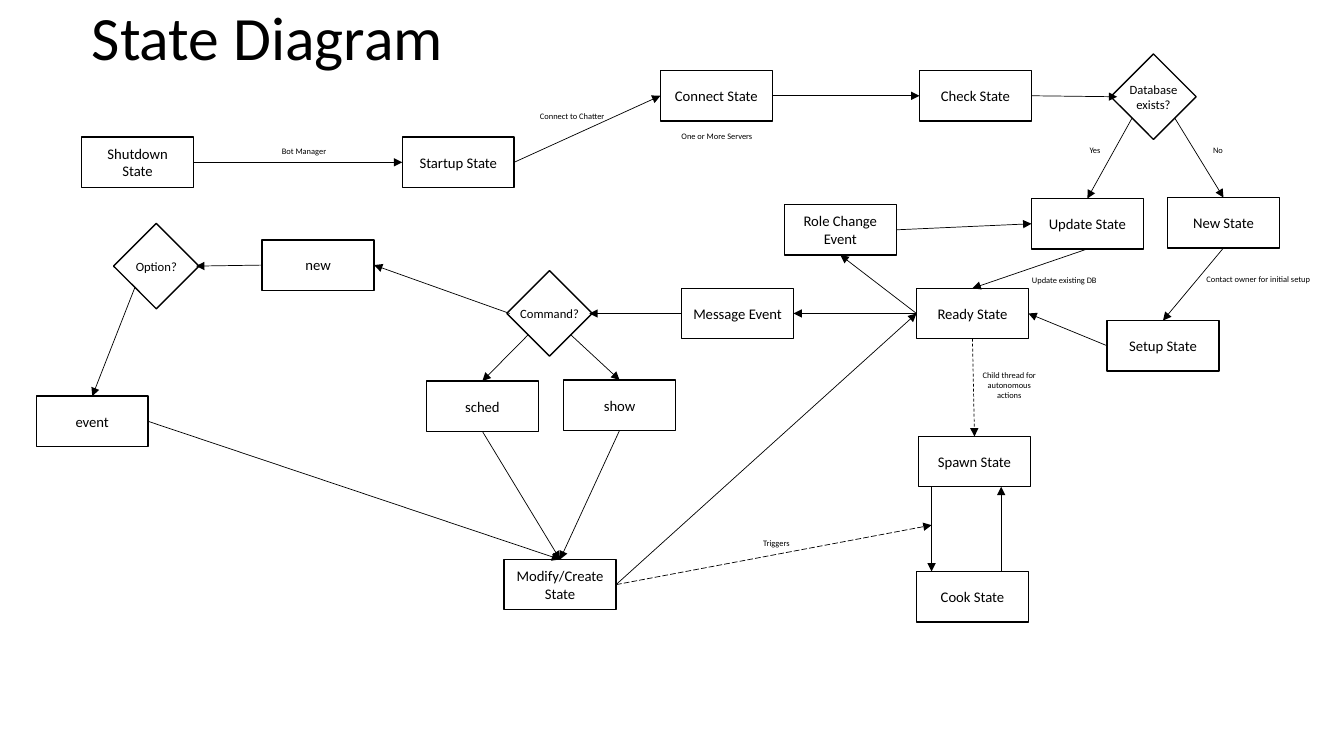
import pptx
import pptx.util
import pptx.dml.color
import pptx.enum.dml
import pptx.enum.shapes
import pptx.enum.text
import pptx.oxml
import pptx.oxml.ns

BLACK = pptx.dml.color.RGBColor(0, 0, 0)
WHITE = pptx.dml.color.RGBColor(255, 255, 255)
FONT = "Calibri"
Inches = pptx.util.Inches
DASH = pptx.enum.dml.MSO_LINE.DASH
LONG_DASH = pptx.enum.dml.MSO_LINE.LONG_DASH

STATE_WIDTH, STATE_HEIGHT = 1.11, 0.5
SQUARE = 0.6  # side of a decision square, turned by 45 degrees

# State name: left, top
STATES = {
    "Shutdown State": (0.81, 1.36), "Startup State": (3.99, 1.36),
    "Connect State": (6.55, 0.7), "Check State": (9.12, 0.7),
    "New State": (11.58, 1.96), "Update State": (10.23, 1.97),
    "Ready State": (9.09, 2.86), "Setup State": (10.98, 3.18),
    "Message Event": (6.76, 2.86), "Role Change Event": (7.78, 2.03),
    "new": (2.6, 2.38), "show": (5.59, 3.77), "sched": (4.23, 3.78),
    "event": (0.36, 3.93), "Modify/Create State": (5, 5.55),
    "Spawn State": (9.11, 4.33), "Cook State": (9.09, 5.67),
}

# Decision text: centre x, centre y, text width, text height
DECISIONS = {
    "Database exists?": (11.44, 0.96, 0.72, 0.4),
    "Command?": (5.45, 3.11, 0.79, 0.25),
    "Option?": (1.55, 2.64, 0.79, 0.25),
}

# Note text, left, top, width, height, wraps
NOTES = [
    ("Bot Manager", 2.69, 1.4, 0.65, 0.2, False),
    ("Connect to Chatter", 5.25, 1.05, 0.85, 0.2, False),
    ("One or More Servers", 6.65, 1.25, 0.92, 0.2, False),
    ("Yes", 10.7, 1.39, 0.32, 0.2, False),
    ("No", 11.93, 1.39, 0.3, 0.2, False),
    ("Update existing DB", 10.13, 2.68, 0.85, 0.2, False),
    ("Contact owner for initial setup", 11.86, 2.67, 1.24, 0.2, False),
    ("Child thread for autonomous actions", 9.64, 3.62, 0.74, 0.4, True),
    ("Triggers", 7.33, 5.29, 0.74, 0.2, True),
]

# From, its side, to, its side
TRANSITIONS = [
    ("Shutdown State", "right", "Startup State", "left"),
    ("Startup State", "right", "Connect State", "left"),
    ("Connect State", "right", "Check State", "left"),
    ("Check State", "right", "Database exists?", "left"),
    ("Database exists?", "lower left", "Update State", "top"),
    ("Database exists?", "lower right", "New State", "top"),
    ("Update State", "bottom", "Ready State", "top"),
    ("New State", "bottom", "Setup State", "top"),
    ("Setup State", "left", "Ready State", "right"),
    ("Ready State", "left", "Message Event", "right"),
    ("Ready State", "left", "Role Change Event", "bottom"),
    ("Role Change Event", "right", "Update State", "left"),
    ("Message Event", "left", "Command?", "right"),
    ("Command?", "lower right", "show", "top"),
    ("Command?", "lower left", "sched", "top"),
    ("Command?", "left", "new", "right"),
    ("new", "left", "Option?", "right"),
    ("Option?", "lower left", "event", "top"),
    ("sched", "bottom", "Modify/Create State", "top"),
    ("event", "right", "Modify/Create State", "top"),
    ("show", "bottom", "Modify/Create State", "top"),
    ("Modify/Create State", "right", "Ready State", "left"),
]
SITES = {"top": 0, "left": 1, "bottom": 2, "right": 3}
THREAD_DOWN, THREAD_UP = 9.24, 9.93  # x of the lines between Spawn and Cook
TRIGGER_Y = 5.21


def write(shape, text, size, align="CENTER", anchor="MIDDLE", wrap=True, grow=False, spacing=None):
    """Put formatted text in a shape."""
    frame = shape.text_frame
    frame.text = text
    frame.word_wrap = wrap
    auto_size = pptx.enum.text.MSO_AUTO_SIZE
    frame.auto_size = auto_size.SHAPE_TO_FIT_TEXT if grow else auto_size.NONE
    frame.vertical_anchor = pptx.enum.text.MSO_ANCHOR[anchor]
    paragraph = frame.paragraphs[0]
    paragraph.alignment = pptx.enum.text.PP_ALIGN[align]
    paragraph.line_spacing = spacing
    font = paragraph.runs[0].font
    font.name, font.size = FONT, pptx.util.Pt(size)
    font.color.rgb = BLACK


def add_box(shapes, left, top, width, height):
    """Add a white rectangle with a black outline."""
    box = shapes.add_shape(pptx.enum.shapes.MSO_SHAPE.RECTANGLE,
                           *map(Inches, (left, top, width, height)))
    box.shadow.inherit = False
    box.fill.solid()
    box.fill.fore_color.rgb = WHITE
    box.line.color.rgb = BLACK
    box.line.width = pptx.util.Pt(1)
    return box


def add_label(shapes, text, place, size, wrap=True):
    """Add a centred text box."""
    label = shapes.add_textbox(*map(Inches, place))
    write(label, text, size, anchor="TOP", wrap=wrap, grow=True)
    return label


def add_decision(slide, text, x, y, width, height):
    """Add a grouped diamond and its text; return the text box."""
    group = slide.shapes.add_group_shape()
    square = add_box(group.shapes, x - SQUARE / 2, y - SQUARE / 2, SQUARE, SQUARE)
    square.rotation = 45
    return add_label(group.shapes, text, (x - width / 2, y - height / 2, width, height), 9)


def add_arrow(slide, start=(0, 0), end=(0, 0), dash=None):
    """Add a thin black line with an arrowhead at its end."""
    arrow = slide.shapes.add_connector(pptx.enum.shapes.MSO_CONNECTOR.STRAIGHT,
                                       *map(Inches, (*start, *end)))
    arrow.line.color.rgb = BLACK
    arrow.line.width = pptx.util.Pt(0.5)
    if dash:
        arrow.line.dash_style = dash
    head = pptx.oxml.parse_xml('<a:tailEnd %s type="triangle"/>' % pptx.oxml.ns.nsdecls("a"))
    arrow.line._get_or_add_ln().append(head)
    properties = arrow._element.spPr
    properties.append(pptx.oxml.parse_xml("<a:effectLst %s/>" % pptx.oxml.ns.nsdecls("a")))
    return arrow


def slope_middle(name, side):
    """Return the middle of a lower edge of a decision diamond."""
    x, y = DECISIONS[name][:2]
    offset = SQUARE / 2 * 0.5 ** 0.5
    return (x - offset if side == "lower left" else x + offset), y + offset


def connect(slide, nodes, source, source_side, target, target_side, dash=None):
    """Draw an arrow from one node to a side of another."""
    sloped = source_side not in SITES
    start = slope_middle(source, source_side) if sloped else (0, 0)
    arrow = add_arrow(slide, start, dash=dash)
    if not sloped:
        arrow.begin_connect(nodes[source], SITES[source_side])
    arrow.end_connect(nodes[target], SITES[target_side])


presentation = pptx.Presentation()
presentation.slide_width, presentation.slide_height = Inches(13.33), Inches(7.5)
slide = presentation.slides.add_slide(presentation.slide_layouts[5])
title = slide.shapes.title
title.left, title.top, title.width, title.height = map(Inches, (0.81, 0, 4.09, 0.8))
write(title, "State Diagram", 44, align="LEFT", spacing=0.9)

nodes = {}
for name, (left, top) in STATES.items():
    nodes[name] = add_box(slide.shapes, left, top, STATE_WIDTH, STATE_HEIGHT)
    write(nodes[name], name, 10.5)
for name, place in DECISIONS.items():
    nodes[name] = add_decision(slide, name, *place)
for text, *place, wrap in NOTES:
    add_label(slide.shapes, text, place, 6, wrap=wrap)

for transition in TRANSITIONS:
    connect(slide, nodes, *transition)
connect(slide, nodes, "Ready State", "bottom", "Spawn State", "top", dash=DASH)

spawn_bottom = STATES["Spawn State"][1] + STATE_HEIGHT
cook_top = STATES["Cook State"][1]
add_arrow(slide, (THREAD_DOWN, spawn_bottom), (THREAD_DOWN, cook_top))
add_arrow(slide, (THREAD_UP, cook_top), (THREAD_UP, spawn_bottom))
trigger = add_arrow(slide, end=(THREAD_DOWN, TRIGGER_Y), dash=LONG_DASH)
trigger.begin_connect(nodes["Modify/Create State"], SITES["right"])

presentation.save("out.pptx")
